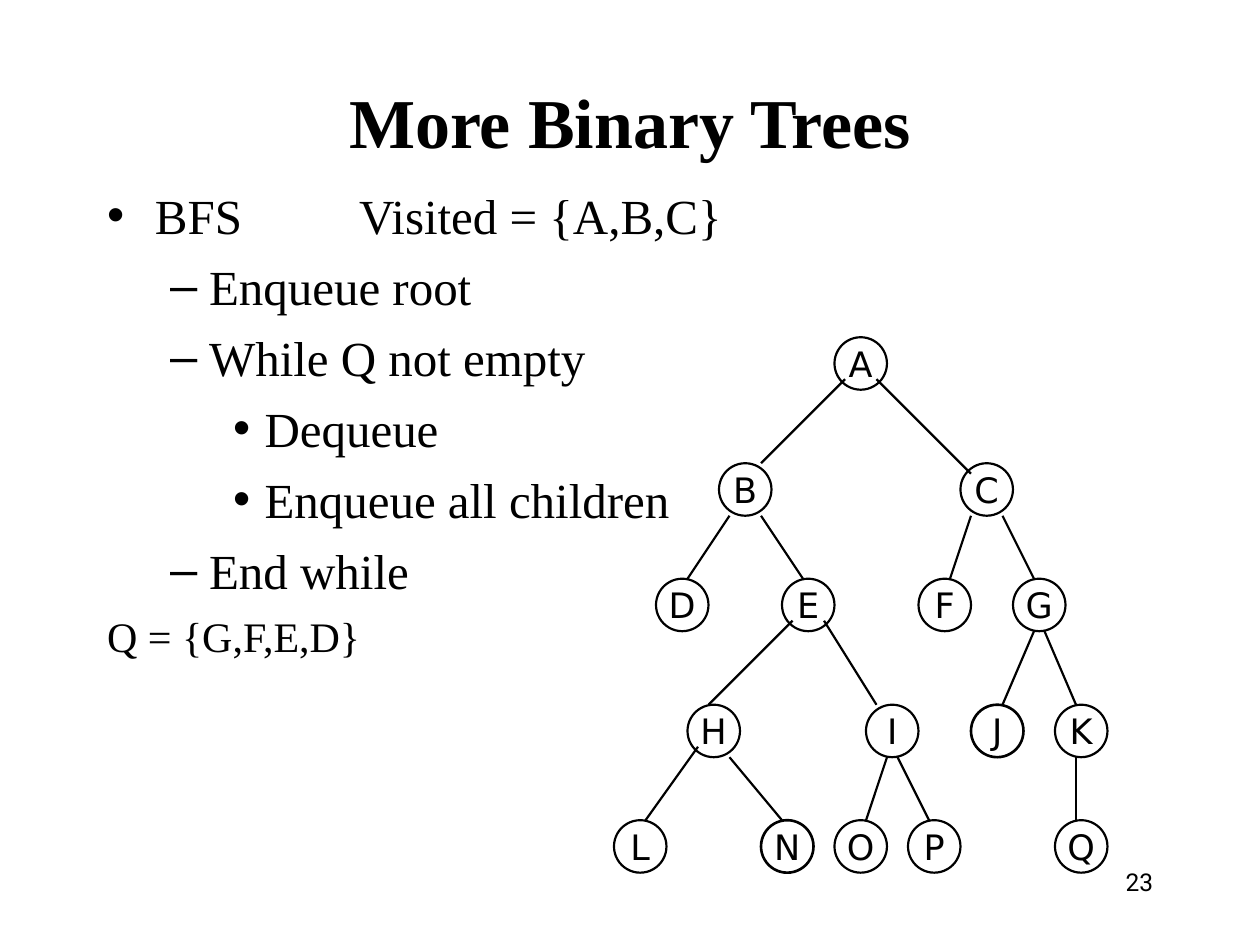
from lxml.etree import SubElement
from pptx import Presentation
from pptx.dml.color import RGBColor
from pptx.enum.shapes import MSO_CONNECTOR as Connector, MSO_SHAPE as Shape
from pptx.enum.text import MSO_ANCHOR as Anchor, MSO_AUTO_SIZE as AutoSize, PP_ALIGN as Align
from pptx.oxml.ns import qn
from pptx.util import Inches, Pt

COLORS = {"ink": "000000"}
SERIF, SANS, NUMBER_FONT = "Times New Roman", "DejaVu Sans", "Roboto"

# The tree sits on a grid of twelve cells to the inch
CELL = 1 / 12
ORIGIN = (0.04, 0.01)
NODE_SIZE = 5
NODE_ROWS = {  # grid row: (letter, column) of each node
    78: [("L", 58), ("N", 72), ("O", 79), ("P", 86), ("Q", 100)],
    67: [("H", 65), ("I", 82), ("J", 92), ("K", 100)],
    55: [("D", 62), ("E", 74), ("F", 87), ("G", 96)],
    44: [("B", 68), ("C", 91)],
    32: [("A", 79)],
}
HEAVY_NODES = "JN"
EDGES = [  # column and row of both ends
    (72, 44, 80, 36), (83, 36, 92, 45),
    (69, 49, 65, 55), (72, 49, 76, 55), (92, 49, 90, 55), (95, 49, 98, 55),
    (67, 67, 75, 59), (83, 67, 78, 59), (95, 67, 98, 60), (102, 67, 99, 60),
    (61, 78, 66, 71), (74, 78, 69, 72), (82, 78, 84, 72), (88, 78, 85, 72),
    (102, 78, 102, 72),
]

# Level: (left margin, hanging indent, bullet)
LEVELS = {0: (0.38, 0.38, "•"), 1: (0.81, 0.31, "–"), 2: (1.25, 0.25, "•")}
STEPS = [
    ("BFS\tVisited = {A,B,C}", 0), ("Enqueue root", 1), ("While Q not empty", 1),
    ("Dequeue", 2), ("Enqueue all children", 2), ("End while", 1),
]


def color(name):
    return RGBColor.from_string(COLORS[name])


def grid(column, row):
    return Inches(ORIGIN[0] + column * CELL), Inches(ORIGIN[1] + row * CELL)


def place(box, left, top, width, height):
    box.left, box.top = Inches(left), Inches(top)
    box.width, box.height = Inches(width), Inches(height)


def write(para, text, *, size, font, align=Align.LEFT, bold=False, before=0):
    """Add formatted text to a paragraph."""
    para.alignment = align
    para.space_before = Pt(before)
    span = para.add_run()
    span.text = text
    span.font.size, span.font.name, span.font.bold = Pt(size), font, bold
    span.font.color.rgb = color("ink")


def set_bullet(para, level, bulleted=True):
    """Set the indent and bullet, and tab stops one inch apart."""
    margin, hanging, symbol = LEVELS[level]
    para.level = level
    props = para._p.get_or_add_pPr()
    props.set("marL", str(Inches(margin)))
    props.set("indent", str(-Inches(hanging)))
    if bulleted:
        SubElement(props, qn("a:buChar"), char=symbol)
    else:
        SubElement(props, qn("a:buNone"))
    tabs = SubElement(props, qn("a:tabLst"))
    for inch in range(1, 9):
        SubElement(tabs, qn("a:tab"), pos=str(Inches(inch)), algn="l")


def add_title(page, text):
    box = page.shapes.title
    place(box, 0.75, 0.67, 8.5, 0.58)
    frame = box.text_frame
    frame.auto_size = AutoSize.NONE
    frame.vertical_anchor = Anchor.MIDDLE
    write(frame.paragraphs[0], text, size=40, font=SERIF, align=Align.CENTER, bold=True)


def add_steps(page):
    box = page.placeholders[1]
    place(box, 0.75, 1.42, 8.5, 5.25)
    frame = box.text_frame
    frame.auto_size = AutoSize.NONE
    para = frame.paragraphs[0]
    for text, level in STEPS:
        write(para, text, size=28, font=SERIF, before=7)
        set_bullet(para, level)
        para = frame.add_paragraph()
    write(para, "Q = {G,F,E,D}", size=24, font=SERIF, before=6)
    set_bullet(para, 0, bulleted=False)


def add_node(tree, letter, column, row):
    size = Inches(NODE_SIZE * CELL)
    node = tree.shapes.add_shape(Shape.OVAL, *grid(column, row), size, size)
    node.shadow.inherit = False
    node.fill.background()
    node.line.color.rgb = color("ink")
    node.line.width = Pt(1.5 if letter in HEAVY_NODES else 1.25)
    frame = node.text_frame
    frame.word_wrap = False
    frame.vertical_anchor = Anchor.MIDDLE
    write(frame.paragraphs[0], letter, size=20, font=SANS, align=Align.CENTER)


def add_edge(tree, start, end):
    edge = tree.shapes.add_connector(Connector.STRAIGHT, *grid(*start), *grid(*end))
    edge.line.color.rgb = color("ink")
    edge.line.width = Pt(1.25)
    SubElement(edge._element.spPr, qn("a:effectLst"))


def add_tree(page):
    tree = page.shapes.add_group_shape()
    for row, nodes in NODE_ROWS.items():
        for letter, column in nodes:
            add_node(tree, letter, column, row)
    for edge in EDGES:
        add_edge(tree, edge[:2], edge[2:])


def add_page_number(page, text):
    box = page.shapes.add_textbox(0, 0, 0, 0)
    place(box, 7.17, 6.83, 2.08, 0.5)
    box.text_frame.word_wrap = True
    write(box.text_frame.paragraphs[0], text, size=14, font=NUMBER_FONT, align=Align.RIGHT)


def main():
    deck = Presentation()
    deck.slide_width, deck.slide_height = Inches(10), Inches(7.5)
    page = deck.slides.add_slide(deck.slide_layouts[1])
    add_page_number(page, "23")
    add_title(page, "More Binary Trees")
    add_steps(page)
    add_tree(page)
    deck.save("out.pptx")


if __name__ == "__main__":
    main()
